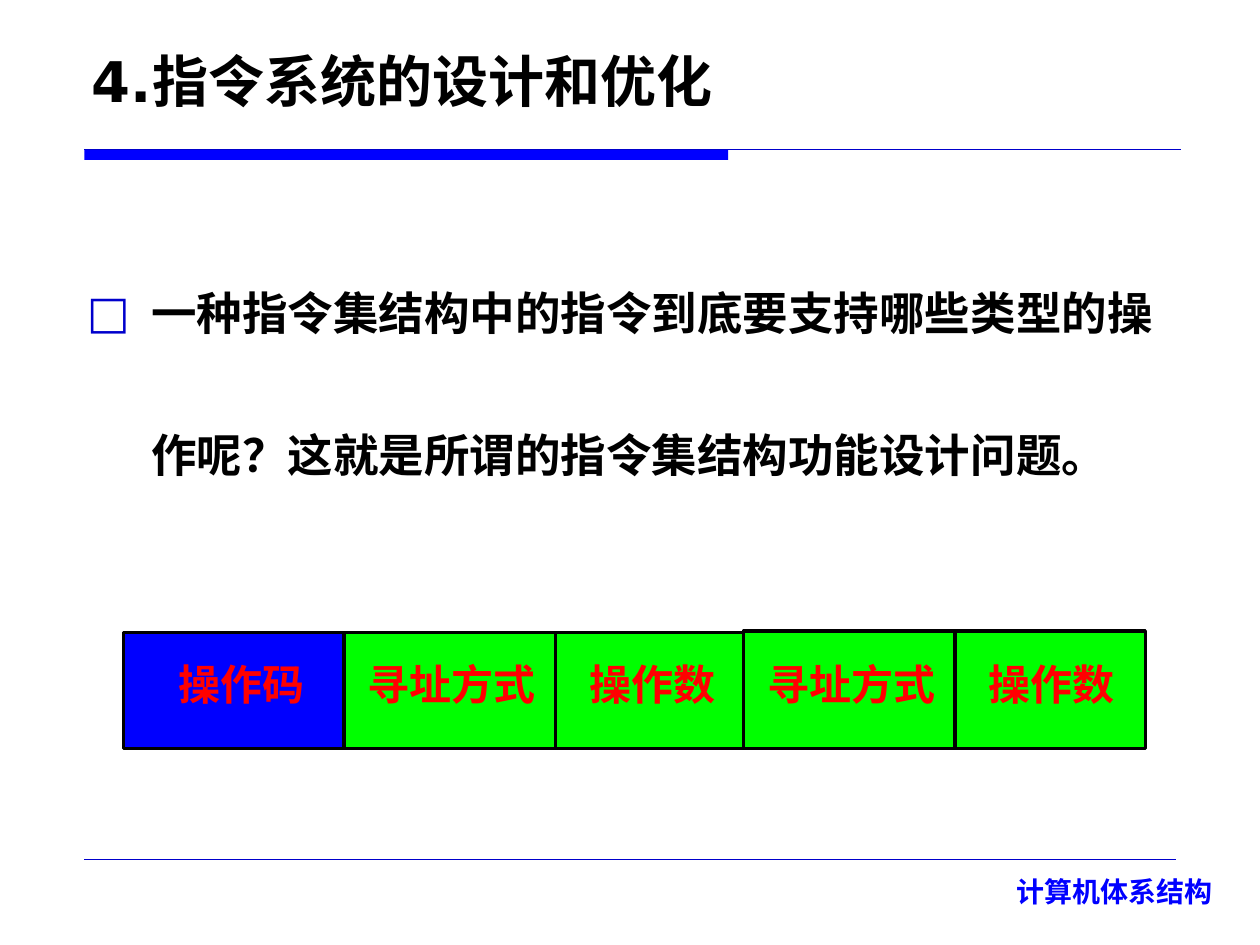
import pptx
import pptx.util
import pptx.dml.color
import pptx.enum.shapes
import pptx.enum.text
import pptx.oxml.ns
import lxml.etree

Inches = pptx.util.Inches
Pt = pptx.util.Pt
RGBColor = pptx.dml.color.RGBColor
ALIGN = pptx.enum.text.PP_ALIGN
ANCHOR = pptx.enum.text.MSO_ANCHOR
AUTO_SIZE = pptx.enum.text.MSO_AUTO_SIZE
RECTANGLE = pptx.enum.shapes.MSO_SHAPE.RECTANGLE
STRAIGHT = pptx.enum.shapes.MSO_CONNECTOR.STRAIGHT
qn = pptx.oxml.ns.qn

BLACK = RGBColor(0, 0, 0)
BLUE = RGBColor(0, 0, 255)
DARK_BLUE = RGBColor(0, 0, 204)
GREEN = RGBColor(0, 255, 0)
RED = RGBColor(255, 0, 0)

TITLE = "4.指令系统的设计和优化"
BODY = "一种指令集结构中的指令到底要支持哪些类型的操作呢？这就是所谓的指令集结构功能设计问题。"
FOOTER = "计算机体系结构"

OPCODE = ("操作码", 0.34, 1.33)
OPERAND_PAIR = [("寻址方式", 0.09, 1.59), ("操作数", 1.85, 1.26)]
DIVIDER_OFFSET = 1.68
LABEL_TOP, LABEL_HEIGHT = 5.18, 0.5
FIELDS = [
    (0.98, 5.02, 1.75, 0.92, BLUE, [OPCODE], None),
    (2.73, 5.02, 3.19, 0.92, GREEN, OPERAND_PAIR, DIVIDER_OFFSET),
    (5.9, 5.01, 3.19, 0.93, GREEN, OPERAND_PAIR, DIVIDER_OFFSET),
]


def write(shape, text, size, font, color, align=ALIGN.LEFT):
    frame = shape.text_frame
    frame.word_wrap = True
    frame.auto_size = AUTO_SIZE.NONE
    para = frame.paragraphs[0]
    para.text = text
    para.alignment = align
    para.font.size = Pt(size)
    para.font.name = font
    para.font.bold = True
    para.font.color.rgb = color
    return para


def place(shape, left, top, width, height):
    shape.left, shape.top = Inches(left), Inches(top)
    shape.width, shape.height = Inches(width), Inches(height)


def add_text(page, bounds, *style):
    box = page.shapes.add_textbox(*map(Inches, bounds))
    write(box, *style)
    return box


def add_block(page, bounds, color, outlined=True):
    block = page.shapes.add_shape(RECTANGLE, *map(Inches, bounds))
    block.shadow.inherit = False
    block.fill.solid()
    block.fill.fore_color.rgb = color
    if outlined:
        block.line.color.rgb = BLACK
        block.line.width = Pt(2)
    else:
        block.line.fill.background()
    return block


def add_line(page, start, end, color, width):
    line = page.shapes.add_connector(STRAIGHT, *map(Inches, start + end))
    line.line.color.rgb = color
    line.line.width = Pt(width)
    lxml.etree.SubElement(line._element.spPr, qn("a:effectLst"))


def add_square_bullet(para, color):
    properties = para._p.get_or_add_pPr()
    properties.set("marL", str(Inches(0.51)))
    properties.set("indent", str(-Inches(0.51)))
    bullet_color = lxml.etree.SubElement(properties, qn("a:buClr"))
    lxml.etree.SubElement(bullet_color, qn("a:srgbClr"), val=str(color))
    lxml.etree.SubElement(properties, qn("a:buFont"), typeface="DejaVu Sans")
    lxml.etree.SubElement(properties, qn("a:buChar"), char="□")


def add_field(page, left, top, width, height, color, labels, divider):
    add_block(page, (left, top, width, height), color)
    for text, offset, label_width in labels:
        bounds = (left + offset, LABEL_TOP, label_width, LABEL_HEIGHT)
        add_text(page, bounds, text, 24, "Times New Roman", RED)
    if divider:
        middle = left + divider
        add_line(page, (middle, top), (middle, top + height), BLACK, 2)


def main():
    deck = pptx.Presentation()
    deck.slide_width, deck.slide_height = Inches(10), Inches(7.5)
    page = deck.slides.add_slide(deck.slide_layouts[1])

    add_block(page, (0.67, 1.19, 5.11, 0.08), BLUE, outlined=False)
    add_line(page, (0.67, 1.19), (9.37, 1.19), DARK_BLUE, 0.5)
    add_line(page, (0.67, 6.82), (9.33, 6.82), DARK_BLUE, 0.25)
    add_text(page, (7.27, 6.89, 2.45, 0.43), FOOTER, 16,
             "Noto Sans CJK SC", BLUE, ALIGN.RIGHT)

    title = page.shapes.title
    place(title, 0.63, 0.21, 6.5, 0.74)
    write(title, TITLE, 32, "DejaVu Sans", BLACK)
    title.text_frame.vertical_anchor = ANCHOR.BOTTOM

    body = page.placeholders[1]
    place(body, 0.59, 1.52, 8.75, 2.37)
    add_square_bullet(body.text_frame.paragraphs[0], DARK_BLUE)
    para = write(body, BODY, 26, "DejaVu Sans", BLACK)
    para.line_spacing = 2.6
    para.space_before = Pt(0)

    for field in FIELDS:
        add_field(page, *field)

    deck.save("out.pptx")


if __name__ == "__main__":
    main()
